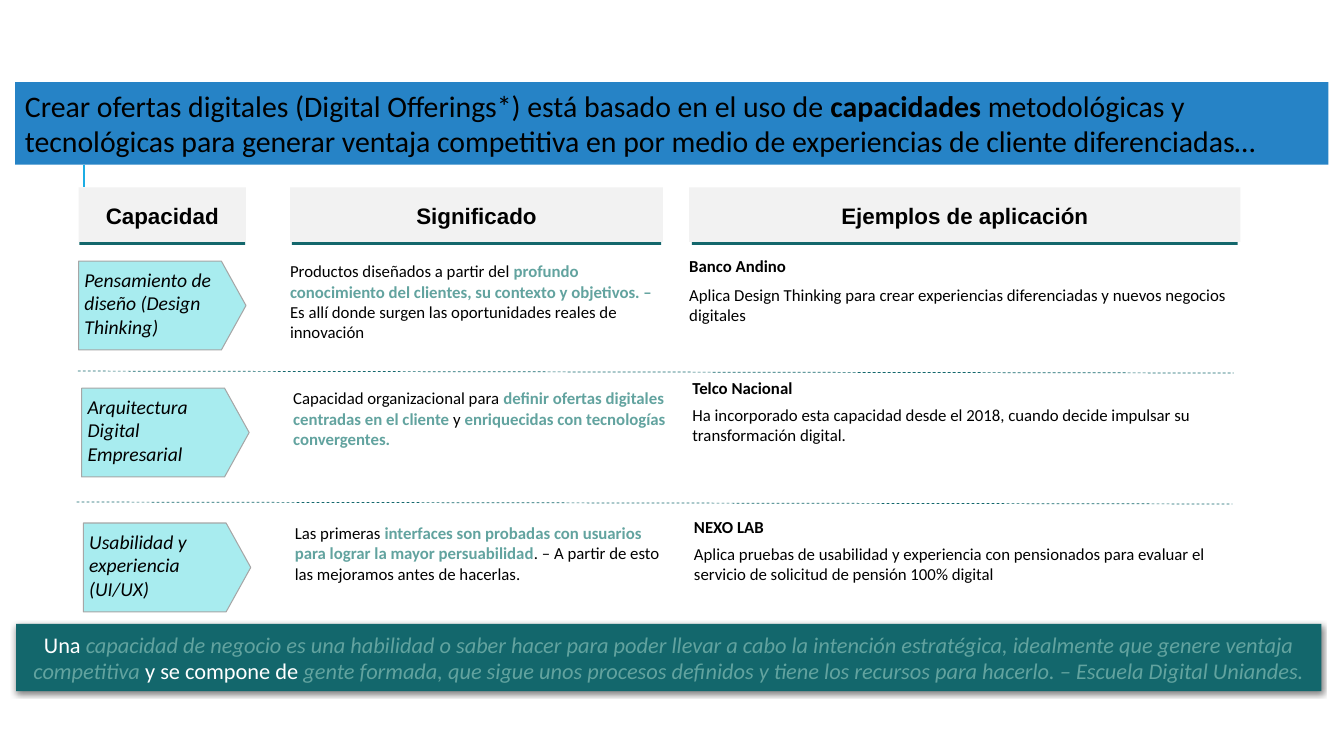
from lxml import etree
from pptx import Presentation
from pptx.dml.color import RGBColor
from pptx.enum.dml import MSO_LINE
from pptx.enum.shapes import MSO_CONNECTOR, MSO_SHAPE
from pptx.enum.text import MSO_ANCHOR, MSO_AUTO_SIZE, PP_ALIGN
from pptx.oxml import parse_xml
from pptx.util import Cm, Pt

RECT, ARROW = MSO_SHAPE.RECTANGLE, MSO_SHAPE.PENTAGON
STRAIGHT, DASH = MSO_CONNECTOR.STRAIGHT, MSO_LINE.DASH
TOP, MID, LOW = MSO_ANCHOR.TOP, MSO_ANCHOR.MIDDLE, MSO_ANCHOR.BOTTOM
LEFT, CENTER = PP_ALIGN.LEFT, PP_ALIGN.CENTER
NS = "http://schemas.openxmlformats.org/drawingml/2006/main"
BLACK, WHITE, TEAL, SAGE = "000000", "FFFFFF", "13676C", "62A39F"
hue = RGBColor.from_string


def write(shape, paras, size, pads, anchor=TOP, align=LEFT, after=0, font="Calibri"):
    """Fill a shape with paragraphs of (text, colour, style) runs."""
    frame = shape.text_frame
    frame.word_wrap = True
    frame.auto_size = MSO_AUTO_SIZE.NONE
    frame.vertical_anchor = anchor
    frame.margin_left, frame.margin_top, frame.margin_right, frame.margin_bottom = map(Cm, pads)
    for n, runs in enumerate(paras):
        para = frame.add_paragraph() if n else frame.paragraphs[0]
        para.alignment = align
        para.space_after = Pt(after)
        for text, color, style in runs:
            run = para.add_run()
            run.text = text
            run.font.name, run.font.size = font, Pt(size)
            run.font.bold, run.font.italic = "b" in style, "i" in style
            run.font.color.rgb = hue(color)


def block(kind, box, fill, edge=None, shadow=None):
    """Add a filled shape; shadow is (colour, alpha, blur, distance, width) in % and points."""
    shape = slide.shapes.add_shape(kind, *map(Cm, box))
    shape.shadow.inherit = False
    shape.fill.solid()
    shape.fill.fore_color.rgb = hue(fill)
    if edge:
        shape.line.color.rgb = hue(edge)
        shape.line.width = Pt(0.75)
    else:
        shape.line.fill.background()
    if shadow:
        color, alpha, blur, dist, wide = shadow
        effects = shape._element.spPr.find(f"{{{NS}}}effectLst")
        effects.append(parse_xml(
            f'<a:outerShdw xmlns:a="{NS}" blurRad="{Pt(blur)}" dist="{Pt(dist)}" dir="5400000" '
            f'sx="{wide * 1000}" algn="b" rotWithShape="0"><a:srgbClr val="{color}">'
            f'<a:alpha val="{alpha * 1000}"/></a:srgbClr></a:outerShdw>'))
    return shape


prs = Presentation()
prs.slide_width, prs.slide_height = Cm(33.87), Cm(19.05)
slide = prs.slides.add_slide(prs.slide_layouts[5])

# Title band
title = slide.shapes.title
title.left, title.top, title.width, title.height = map(Cm, (0.38, 2.07, 33.1, 2.08))
title.fill.solid()
title.fill.fore_color.rgb = hue("2683C6")
write(title, [[
    ("Crear ofertas digitales (Digital Offerings*) está basado en el uso de ", BLACK, ""),
    ("capacidades", BLACK, "b"),
    (" metodológicas y tecnológicas para generar ventaja competitiva en por medio de "
     "experiencias de cliente diferenciadas…", BLACK, ""),
]], 21.3, (0.25, 0.13, 0.25, 0.13))

# Stem under the title and dashed row dividers
lines = [
    (2.11, 4.15, 2.11, 4.72, "1CADE4", 1.5, None),
    (1.96, 9.35, 31.09, 9.4, TEAL, 0.5, DASH),
    (1.93, 12.65, 31.06, 12.7, TEAL, 0.5, DASH),
]
for x1, y1, x2, y2, color, width, dash in lines:
    line = slide.shapes.add_connector(STRAIGHT, Cm(x1), Cm(y1), Cm(x2), Cm(y2))
    line.line.color.rgb = hue(color)
    line.line.width = Pt(width)
    line.line.dash_style = dash
    etree.SubElement(line._element.spPr, f"{{{NS}}}effectLst")

# Column heads
cols = [(0, 4.22), (5.33, 9.4), (15.39, 13.89)]
heads = ["Capacidad", "Significado", "Ejemplos de aplicación"]
for (step, width), head in zip(cols, heads):
    cell = block(RECT, (1.98 + step, 4.72, width, 1.38), "F2F2F2", shadow=(TEAL, 100, 0, 2, 99))
    write(cell, [[(head, BLACK, "b")]], 16, (0.25, 0.33, 0.25, 0.33), LOW, CENTER, font="Arial")

# Rows: left, top, example top, space after, skill, meaning, firm, example
rows = [
    (1.98, 6.58, 6.45, 6, "Pensamiento de diseño (Design Thinking)",
     [("Productos diseñados a partir del ", BLACK, ""),
      ("profundo conocimiento del clientes, su contexto y objetivos. – ", SAGE, "b"),
      ("Es allí donde surgen las oportunidades reales de innovación", BLACK, "")],
     "Banco Andino",
     "Aplica Design Thinking para crear experiencias diferenciadas y nuevos negocios digitales"),
    (2.06, 9.78, 9.53, 4.5, "Arquitectura Digital Empresarial",
     [("Capacidad organizacional para ", BLACK, ""),
      ("definir ofertas digitales centradas en el cliente", SAGE, "b"),
      (" y ", BLACK, ""),
      ("enriquecidas con tecnologías convergentes.", SAGE, "b")],
     "Telco Nacional",
     "Ha incorporado esta capacidad desde el 2018, cuando decide impulsar su "
     "transformación digital."),
    (2.1, 13.18, 13.03, 4.5, "Usabilidad y experiencia (UI/UX)",
     [("Las primeras ", BLACK, ""),
      ("interfaces son probadas con usuarios para lograr la mayor persuabilidad", SAGE, "b"),
      (". – A partir de esto las mejoramos antes de hacerlas.", BLACK, "")],
     "NEXO LAB",
     "Aplica pruebas de usabilidad y experiencia con pensionados para evaluar el servicio "
     "de solicitud de pensión 100% digital"),
]
for left, top, high, after, skill, sense, firm, case in rows:
    arrow = block(ARROW, (left, top, cols[0][1], 2.24), "A8ECEF", "A6A6A6")
    arrow.adjustments[0] = 0.277
    write(arrow, [[(skill, BLACK, "i")]], 14, (0.15, 0, 0, 0.13), MID)
    example = [[(firm, BLACK, "b")], [(case, BLACK, "")]]
    for (step, width), y, tall, paras in zip(cols[1:], (top, high), (2.24, 1.74), ([sense], example)):
        box = slide.shapes.add_textbox(Cm(left + step), Cm(y), Cm(width), Cm(tall))
        write(box, paras, 12, (0, 0, 0, 0), after=after)

# Closing band
band = block(RECT, (0.41, 15.72, 32.89, 1.7), TEAL, shadow=(BLACK, 50, 4, 1, 100))
write(band, [[
    ("Una ", WHITE, ""),
    ("capacidad de negocio es una habilidad o saber hacer para poder llevar a cabo la intención "
     "estratégica, idealmente que genere ventaja competitiva", SAGE, "i"),
    (" y se compone de ", WHITE, ""),
    ("gente formada, que sigue unos procesos definidos y tiene los recursos para hacerlo. – "
     "Escuela Digital Uniandes.", SAGE, "i"),
]], 16, (0.25, 0.13, 0.25, 0.13), MID, CENTER)

prs.save("out.pptx")
